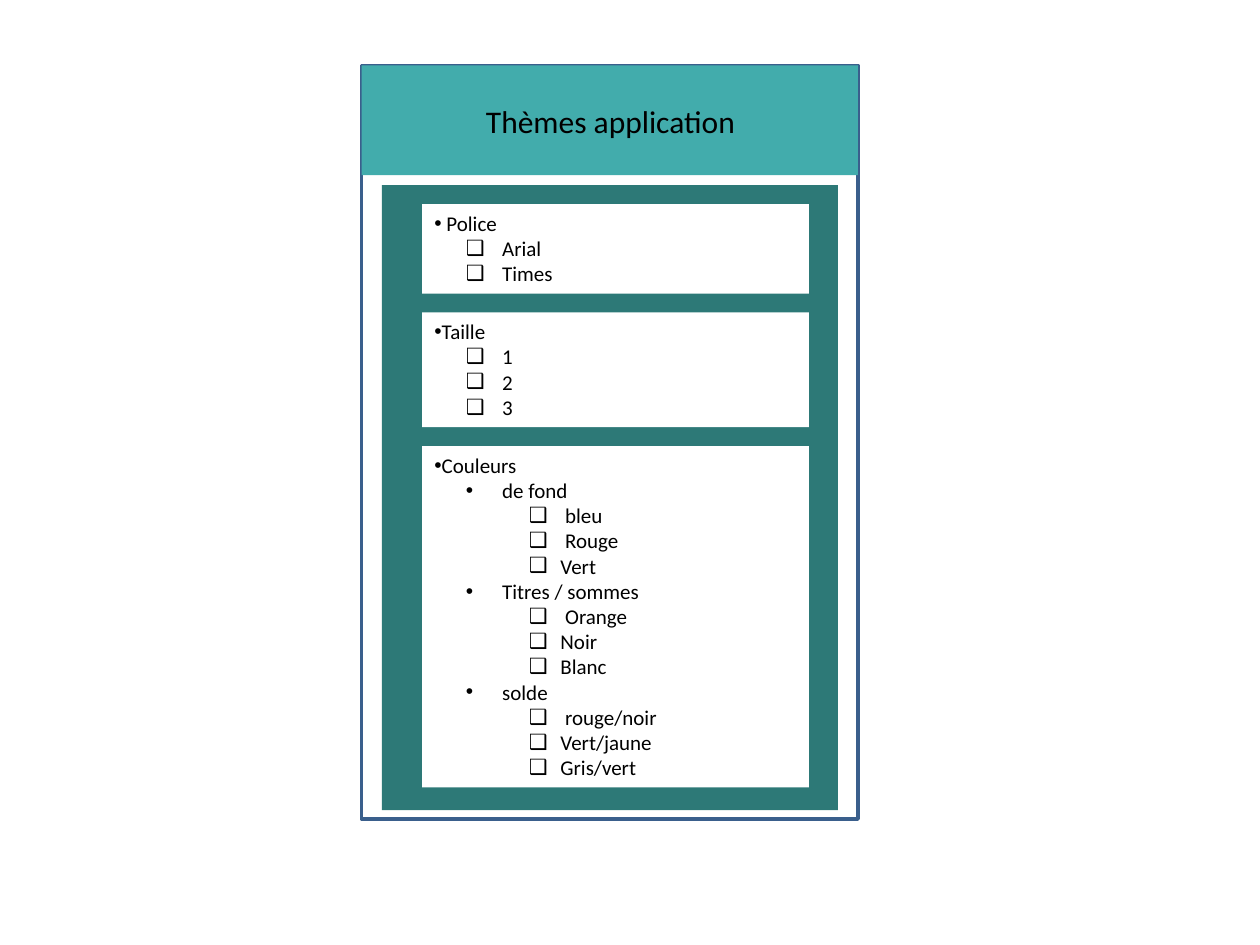
from lxml.etree import SubElement
from pptx import Presentation
from pptx.dml.color import RGBColor
from pptx.enum.shapes import MSO_SHAPE
from pptx.enum.text import MSO_ANCHOR, PP_ALIGN
from pptx.oxml.ns import qn
from pptx.util import Inches, Pt

COLORS = {
    "panel": "2D7977",
    "border": "3A5F8C",
    "header": "42ACAC",
    "card": "FFFFFF",
    "text": "000000",
}
FRAME = (2.87, 0.52, 3.94, 5.98)
HEADER_HEIGHT = 0.87
CARD_GAP = 0.15
LINE_HEIGHT = 0.2
CARD_PADDING = 0.11
BOX_FORMAT = {"word_wrap": True, "vertical_anchor": MSO_ANCHOR.TOP}

SECTIONS = [
    [(0, "•", " Police"), (1, "❑", " Arial"), (1, "❑", " Times")],
    [(0, "•", "Taille"), (1, "❑", " 1"), (1, "❑", " 2"), (1, "❑", " 3")],
    [
        (0, "•", "Couleurs"),
        (1, "•", " de fond"),
        (2, "❑", " bleu"),
        (2, "❑", " Rouge"),
        (2, "❑", "Vert"),
        (1, "•", " Titres / sommes"),
        (2, "❑", " Orange"),
        (2, "❑", "Noir"),
        (2, "❑", "Blanc"),
        (1, "•", " solde"),
        (2, "❑", " rouge/noir"),
        (2, "❑", "Vert/jaune"),
        (2, "❑", "Gris/vert"),
    ],
]


def color(name):
    return RGBColor.from_string(COLORS[name])


def set_values(target, values):
    for name, value in values.items():
        setattr(target, name, value)


def add_rectangle(page, box, fill=None, border=None):
    shape = page.shapes.add_shape(MSO_SHAPE.RECTANGLE, *map(Inches, box))
    shape.shadow.inherit = False
    if fill:
        shape.fill.solid()
        shape.fill.fore_color.rgb = color(fill)
    else:
        shape.fill.background()
    if border:
        shape.line.color.rgb = color(border)
        shape.line.width = Pt(2)
    else:
        shape.line.fill.background()
    return shape


def write_span(para, text, size):
    span = para.add_run()
    span.text = text
    set_values(span.font, {"name": "Calibri", "size": Pt(size)})
    span.font.color.rgb = color("text")


def set_bullet(para, level, symbol):
    properties = para._p.get_or_add_pPr()
    properties.set("marL", str(Inches(0.5 * level)))
    properties.set("indent", str(Inches(-0.25 if level else 0)))
    SubElement(properties, qn("a:buFont"), typeface="Arial")
    SubElement(properties, qn("a:buChar"), char=symbol)


def add_header(page, box):
    left, top, width, height = box
    add_rectangle(page, box, fill="header")
    title_box = (left + 0.52, top + 0.24, width - 1.03, 0.4)
    title = page.shapes.add_textbox(*map(Inches, title_box))
    set_values(title.text_frame, BOX_FORMAT)
    para = title.text_frame.paragraphs[0]
    para.alignment = PP_ALIGN.CENTER
    write_span(para, "Thèmes application", 18)


def add_card(page, box, items):
    frame = add_rectangle(page, box, fill="card").text_frame
    set_values(frame, BOX_FORMAT)
    for index, (level, symbol, text) in enumerate(items):
        para = frame.add_paragraph() if index else frame.paragraphs[0]
        set_values(para, {"level": level, "alignment": PP_ALIGN.LEFT})
        set_bullet(para, level, symbol)
        write_span(para, text, 12)


def add_cards(page, box):
    left, top, width, _ = box
    for items in SECTIONS:
        height = LINE_HEIGHT * len(items) + CARD_PADDING
        add_card(page, (left, top, width, height), items)
        top += height + CARD_GAP


def add_screen(page, box):
    left, top, width, height = box
    panel = (left + 0.16, top + 0.95, width - 0.32, height - 1.02)
    add_rectangle(page, panel, fill="panel")
    add_rectangle(page, box, border="border")
    add_header(page, (left, top, width, HEADER_HEIGHT))
    add_cards(page, (left + 0.48, top + 1.1, width - 0.87, height - 1.33))


def main():
    deck = Presentation()
    set_values(deck, {"slide_width": Inches(10), "slide_height": Inches(7.5)})
    page = deck.slides.add_slide(deck.slide_layouts[6])
    add_screen(page, FRAME)
    deck.save("out.pptx")


if __name__ == "__main__":
    main()
